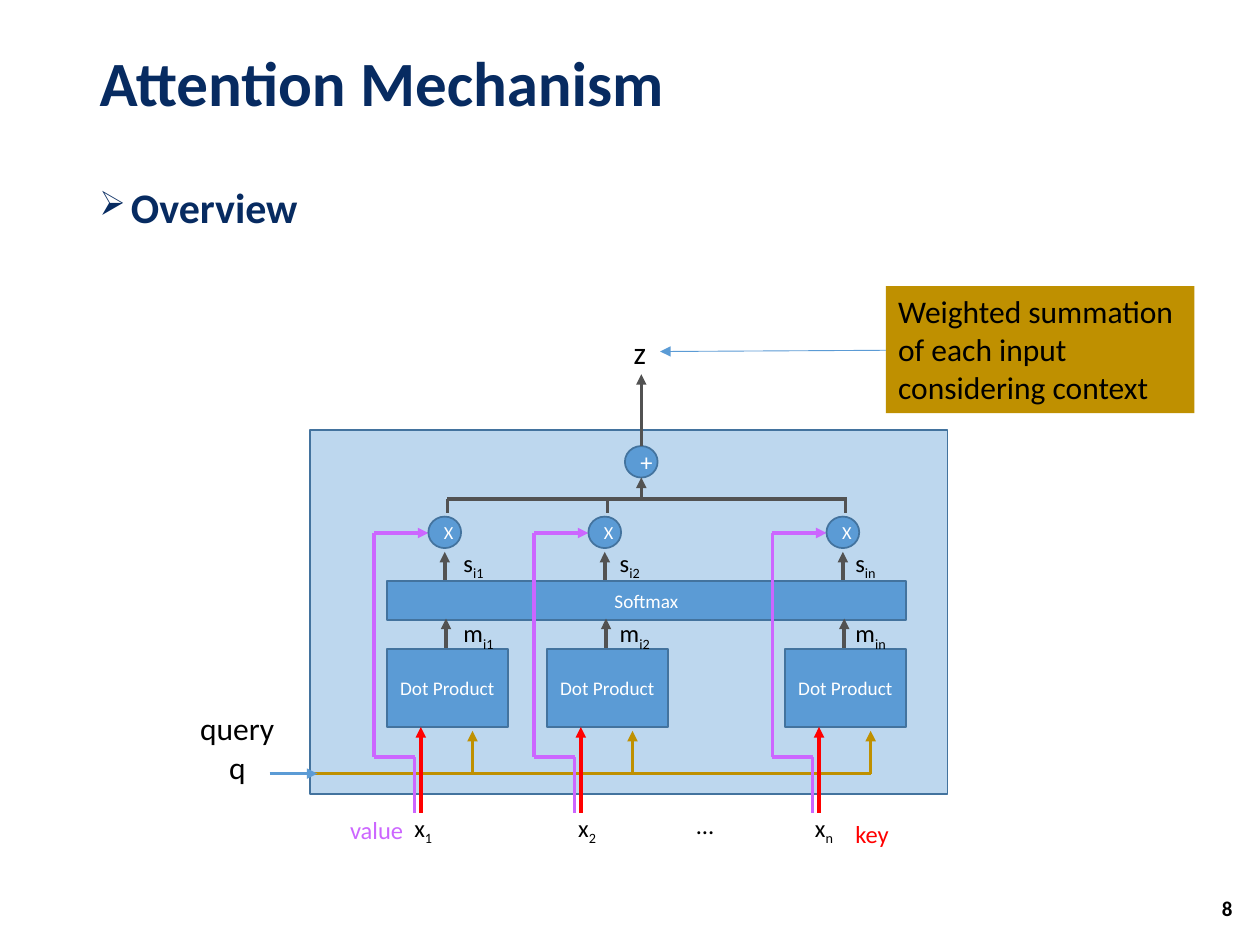
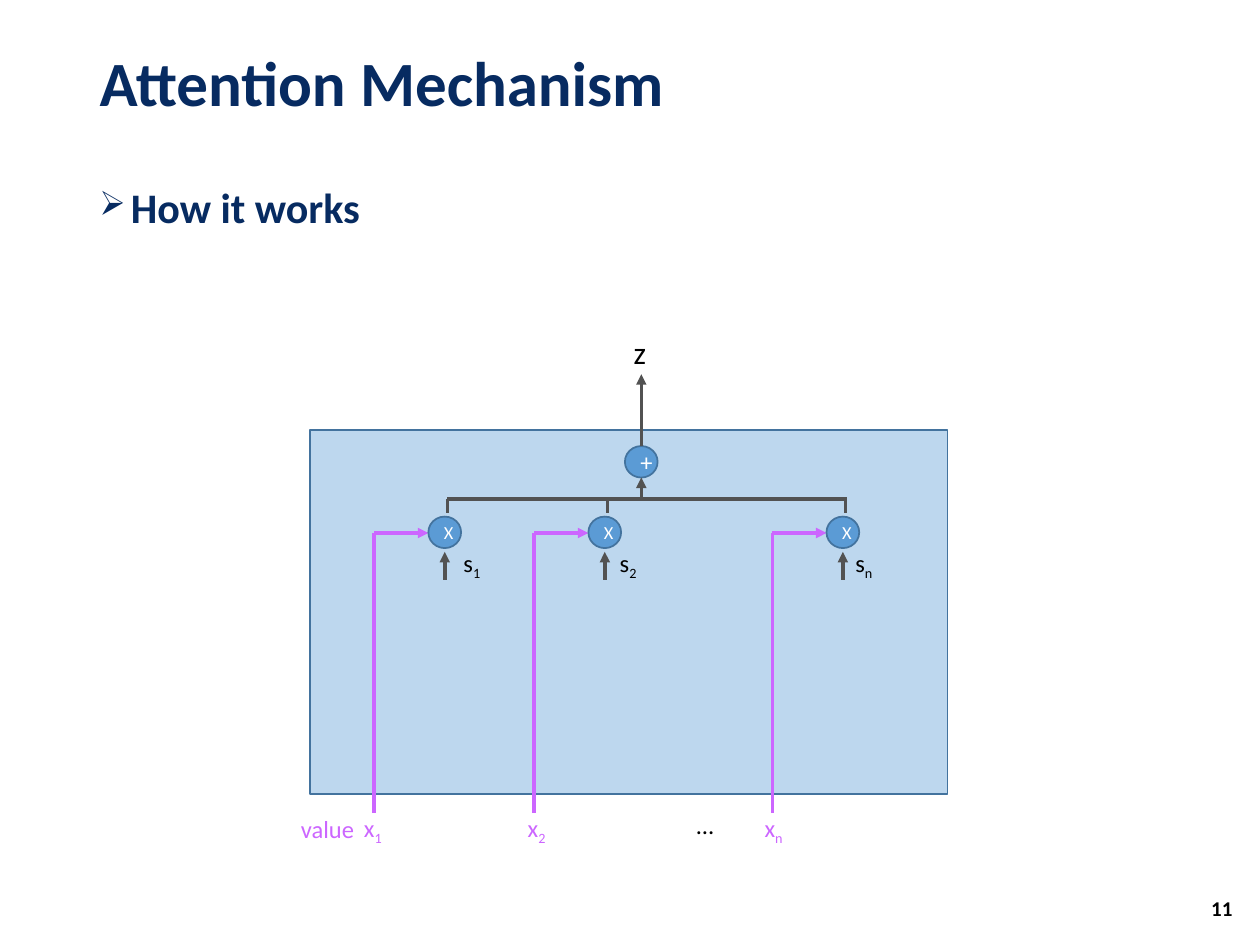
import pptx
import pptx.util
from pptx.dml.color import RGBColor
from pptx.enum.shapes import MSO_CONNECTOR, MSO_SHAPE
from pptx.enum.text import MSO_ANCHOR, MSO_AUTO_SIZE, PP_ALIGN
from pptx.oxml.ns import qn
from lxml import etree

PX = 9144
FONT = "Calibri"
NAVY = RGBColor(0x07, 0x2B, 0x61)
BLACK = RGBColor(0, 0, 0)
WHITE = RGBColor(0xFF, 0xFF, 0xFF)
GOLD = RGBColor(0xBF, 0x90, 0x00)
BLUE = RGBColor(0x5B, 0x9B, 0xD5)
PALE_BLUE = RGBColor(0xBD, 0xD7, 0xEE)
OUTLINE = RGBColor(0x43, 0x73, 0x9E)
GRAY = RGBColor(0x52, 0x52, 0x52)
PURPLE = RGBColor(0xCC, 0x66, 0xFF)
RED = RGBColor(0xFF, 0, 0)

COLUMN_LEFTS = (307, 434, 623)
SCORE_LEFTS = (358, 482, 669)
INPUT_LEFTS = (319, 449, 637)
INDICES = ("1", "2", "n")


def px(*lengths):
    return [pptx.util.Emu(length * PX) for length in lengths]


def format_text(frame, size, color, bold=False, align=PP_ALIGN.LEFT):
    for para in frame.paragraphs:
        para.alignment = align
        for span in para.runs:
            span.font.name = FONT
            span.font.size = pptx.util.Pt(size)
            span.font.bold = bold
            span.font.color.rgb = color


def add_label(page, text, box, size=14, color=BLACK, subscript=""):
    frame = page.shapes.add_textbox(*px(*box)).text_frame
    frame.word_wrap = False
    frame.auto_size = MSO_AUTO_SIZE.SHAPE_TO_FIT_TEXT
    frame.text = text
    if subscript:
        span = frame.paragraphs[0].add_run()
        span.text = subscript
        span.font._element.set("baseline", "-25000")
    format_text(frame, size, color)


def add_node(page, kind, box, text="", size=11, fill=BLUE):
    node = page.shapes.add_shape(kind, *px(*box))
    node.shadow.inherit = False
    node.fill.solid()
    node.fill.fore_color.rgb = fill
    node.line.color.rgb = OUTLINE
    node.line.width = pptx.util.Pt(1)
    if text:
        node.text_frame.text = text
        format_text(node.text_frame, size, WHITE, align=PP_ALIGN.CENTER)


def add_route(page, points, color, arrow=True, width=2):
    for start, end in zip(points, points[1:]):
        line = page.shapes.add_connector(MSO_CONNECTOR.STRAIGHT, *px(*start, *end))
        line.line.color.rgb = color
        line.line.width = pptx.util.Pt(width)
        properties = line._element.spPr
        etree.SubElement(properties, qn("a:effectLst"))
        if arrow and end == points[-1]:
            stroke = properties.find(qn("a:ln"))
            etree.SubElement(stroke, qn("a:tailEnd"), type="triangle")


def add_title(page, text):
    title = page.shapes.title
    title.left, title.top, title.width, title.height = px(69, 18, 862, 101)
    frame = title.text_frame
    frame.text = text
    frame.vertical_anchor = MSO_ANCHOR.MIDDLE
    frame.auto_size = MSO_AUTO_SIZE.NONE
    frame.paragraphs[0].line_spacing = 0.9
    format_text(frame, 36, NAVY, bold=True)


def add_heading(page, text):
    frame = page.shapes.add_textbox(*px(69, 144, 862, 544)).text_frame
    frame.word_wrap = True
    frame.text = text
    format_text(frame, 24, NAVY, bold=True)
    para = frame.paragraphs[0]
    para.line_spacing = 0.9
    para.space_before = pptx.util.Pt(10)
    properties = para._p.get_or_add_pPr()
    properties.set("marL", str(25 * PX))
    properties.set("indent", str(-25 * PX))
    etree.SubElement(properties, qn("a:buSzPct"), val="80000")
    etree.SubElement(properties, qn("a:buChar"), char="➢")


def add_page_number(page, number):
    frame = page.shapes.add_textbox(*px(936, 701, 52, 40)).text_frame
    frame.word_wrap = True
    frame.vertical_anchor = MSO_ANCHOR.MIDDLE
    frame.text = str(number)
    format_text(frame, 12, BLACK, bold=True, align=PP_ALIGN.RIGHT)


def start_page(deck, heading, number):
    page = deck.slides.add_slide(deck.slide_layouts[5])
    add_title(page, "Attention Mechanism")
    add_heading(page, heading)
    add_page_number(page, number)
    add_node(page, MSO_SHAPE.RECTANGLE, (246, 341, 506, 289), fill=PALE_BLUE)
    return page


def add_summation(page):
    add_label(page, "z", (493, 259, 31, 40), 18)
    add_node(page, MSO_SHAPE.OVAL, (496, 354, 26, 25), "+", 14)
    add_route(page, [(509, 354), (509, 297)], GRAY)
    add_route(page, [(509, 395), (509, 379)], GRAY)
    add_route(page, [(355, 396), (672, 396)], GRAY, arrow=False)
    add_label(page, "…", (543, 638, 40, 34))


def add_weighting(page, left, value_points):
    add_route(page, [(left + 48, 407), (left + 48, 396)], GRAY, arrow=False)
    add_route(page, [(left + 46, 460), (left + 46, 438)], GRAY)
    turn = [(left - 10, 423), (left + 33, 423)]
    add_route(page, value_points + turn, PURPLE)
    add_node(page, MSO_SHAPE.OVAL, (left + 33, 410, 26, 25), "X", 10.5)


def add_dot_product(page, left):
    add_node(page, MSO_SHAPE.RECTANGLE, (left, 515, 96, 62), "Dot Product")
    add_route(page, [(left + 68, 614), (left + 68, 580)], GOLD)
    add_route(page, [(left + 47, 514), (left + 47, 491)], GRAY)


def add_callout(page):
    callout = page.shapes.add_textbox(*px(703, 227, 245, 101))
    callout.fill.solid()
    callout.fill.fore_color.rgb = GOLD
    frame = callout.text_frame
    frame.word_wrap = False
    frame.auto_size = MSO_AUTO_SIZE.SHAPE_TO_FIT_TEXT
    frame.text = "Weighted summation\nof each input\vconsidering context"
    format_text(frame, 18, BLACK)
    add_route(page, [(703, 278), (524, 279)], BLUE, width=0.5)


def build_overview(deck):
    page = start_page(deck, "Overview", 8)
    add_callout(page)
    add_summation(page)
    add_route(page, [(228, 614), (691, 614)], GOLD, arrow=False)
    add_node(page, MSO_SHAPE.RECTANGLE, (307, 461, 412, 31), "Softmax")
    for left, score, entry, index in zip(
        COLUMN_LEFTS, SCORE_LEFTS, INPUT_LEFTS, INDICES
    ):
        add_dot_product(page, left)
        value_points = [(left + 22, 645), (left + 22, 601), (left - 10, 601)]
        add_weighting(page, left, value_points)
        add_route(page, [(left + 27, 645), (left + 27, 577)], RED)
        add_label(page, "m", (score, 486, 45, 34), subscript="i" + index)
        add_label(page, "s", (score, 430, 38, 34), subscript="i" + index)
        add_label(page, "x", (entry, 640, 36, 34), subscript=index)
    add_label(page, "value", (268, 642, 63, 34), color=PURPLE)
    add_label(page, "key", (669, 645, 47, 34), color=RED)
    add_label(page, "query", (149, 558, 80, 40), 18)
    add_label(page, "q", (172, 589, 34, 40), 18)
    add_route(page, [(214, 614), (252, 614)], BLUE)


def build_how_it_works(deck):
    page = start_page(deck, "How it works", 11)
    add_summation(page)
    for left, score, entry, index in zip(
        COLUMN_LEFTS, SCORE_LEFTS, INPUT_LEFTS, INDICES
    ):
        add_weighting(page, left, [(left - 10, 645)])
        add_label(page, "s", (score, 430, 34, 34), subscript=index)
        add_label(page, "x", (entry - 40, 640, 36, 34), color=PURPLE, subscript=index)
    add_label(page, "value", (229, 641, 63, 34), color=PURPLE)


def main():
    deck = pptx.Presentation()
    deck.slide_width, deck.slide_height = px(1000, 750)
    build_overview(deck)
    build_how_it_works(deck)
    deck.save("out.pptx")


if __name__ == "__main__":
    main()
